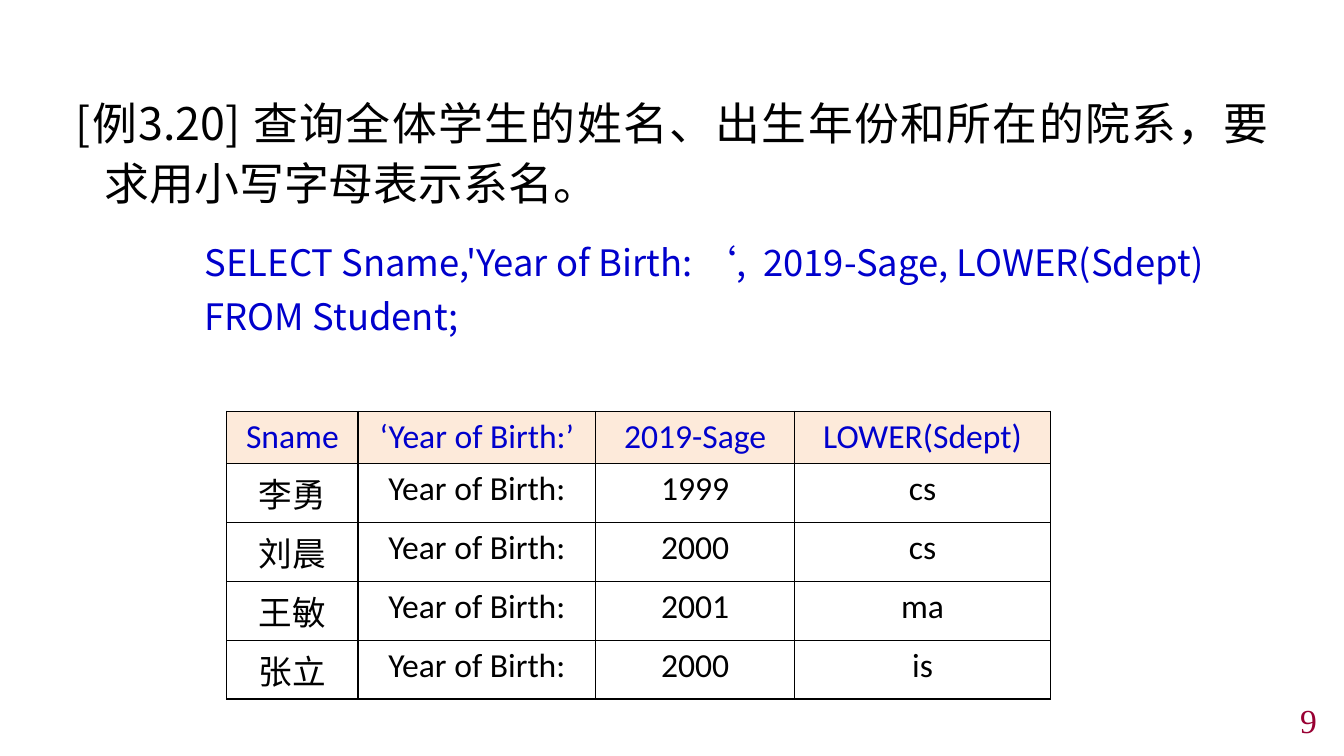
"""Build the slide for example 3.20: a query with a computed column and its result."""
from lxml import etree
from pptx import Presentation
from pptx.dml.color import RGBColor
from pptx.enum.text import MSO_ANCHOR, MSO_AUTO_SIZE, PP_ALIGN
from pptx.oxml.ns import qn
from pptx.util import Inches, Pt

CENTER, RIGHT, JUSTIFY = PP_ALIGN.CENTER, PP_ALIGN.RIGHT, PP_ALIGN.JUSTIFY
COLORS = {"text": "000000", "code": "0000CC", "header": "FDEADA", "number": "990033"}
HAN, LATIN, SERIF = "Noto Sans CJK SC", "Calibri", "Times New Roman"

# text, level, size, colour, left margin, first-line indent, space before
BODY = [
    ("[例3.20] 查询全体学生的姓名、出生年份和所在的院系，要求用小写字母表示系名。",
     0, 32, "text", 0.29, -0.29, 0),
    ("SELECT Sname,'Year of Birth: ‘,  2019-Sage, LOWER(Sdept)", 1, 26, "code", 1.28, 0, 19),
    ("FROM Student;", 1, 26, "code", 1.28, 0, 4.2),
]
LABEL = "Year of Birth:"
RESULT = [
    ("Sname", f"‘{LABEL}’", "2019-Sage", "LOWER(Sdept)"),
    ("李勇", LABEL, "1999", "cs"),
    ("刘晨", LABEL, "2000", "cs"),
    ("王敏", LABEL, "2001", "ma"),
    ("张立", LABEL, "2000", "is"),
]
COLUMN_WIDTHS = (1.3, 2.36, 1.97, 2.54)
HEADER_HEIGHT, ROW_HEIGHT = 0.52, 0.58


def box(left, top, width, height):
    return [Inches(length) for length in (left, top, width, height)]


def style(font, size, color, latin, han=HAN):
    font.size, font.name = Pt(size), latin
    font.color.rgb = RGBColor.from_string(COLORS[color])
    properties = font._element if hasattr(font, "_element") else font._rPr
    east_asian = etree.Element(qn("a:ea"), typeface=han)
    properties.find(qn("a:latin")).addnext(east_asian)


def add_borders(cell):
    properties = cell._tc.get_or_add_tcPr()
    for index, side in enumerate(("lnL", "lnR", "lnT", "lnB")):
        line = etree.Element(qn(f"a:{side}"), w=str(Pt(1)))
        fill = etree.SubElement(line, qn("a:solidFill"))
        etree.SubElement(fill, qn("a:srgbClr"), val=COLORS["text"])
        properties.insert(index, line)


def fill_body(body):
    body.left, body.top, body.width, body.height = box(0.65, 0.85, 12.04, 6.29)
    frame = body.text_frame
    frame.text = "\n".join(entry[0] for entry in BODY)
    frame.auto_size, frame.vertical_anchor = MSO_AUTO_SIZE.NONE, MSO_ANCHOR.TOP
    for paragraph, (_, level, size, color, margin, indent, before) in zip(frame.paragraphs, BODY):
        properties = paragraph._p.get_or_add_pPr()
        properties.set("marL", str(Inches(margin)))
        properties.set("indent", str(Inches(indent)))
        etree.SubElement(properties, qn("a:buNone"))
        paragraph.level, paragraph.alignment = level, JUSTIFY
        paragraph.line_spacing, paragraph.space_before = 1.1, Pt(before)
        style(paragraph.runs[0].font, size, color, HAN)


def add_result(slide):
    height = HEADER_HEIGHT + ROW_HEIGHT * (len(RESULT) - 1)
    area = box(2.25, 4.08, sum(COLUMN_WIDTHS), height)
    table = slide.shapes.add_table(len(RESULT), len(COLUMN_WIDTHS), *area).table
    table.first_row = table.horz_banding = False
    for column, width in zip(table.columns, COLUMN_WIDTHS):
        column.width = Inches(width)
    for row_index, record in enumerate(RESULT):
        is_header = row_index == 0
        table.rows[row_index].height = Inches(HEADER_HEIGHT if is_header else ROW_HEIGHT)
        for column_index, value in enumerate(record):
            cell = table.cell(row_index, column_index)
            cell.text = value
            if is_header:
                cell.fill.solid()
                cell.fill.fore_color.rgb = RGBColor.from_string(COLORS["header"])
            else:
                cell.fill.background()
            add_borders(cell)
            paragraph = cell.text_frame.paragraphs[0]
            paragraph.alignment = CENTER
            style(paragraph.runs[0].font, 24, "code" if is_header else "text", LATIN)


def add_page_number(slide):
    frame = slide.shapes.add_textbox(*box(10.33, 6.99, 2.83, 0.31)).text_frame
    frame.word_wrap, frame.vertical_anchor = True, MSO_ANCHOR.MIDDLE
    frame.text = "9"
    paragraph = frame.paragraphs[0]
    paragraph.alignment = RIGHT
    style(paragraph.runs[0].font, 24, "number", SERIF)


def main():
    deck = Presentation()
    deck.slide_width, deck.slide_height = Inches(13.33), Inches(7.5)
    slide = deck.slides.add_slide(deck.slide_layouts[1])
    title = slide.shapes.title._element
    title.getparent().remove(title)
    fill_body(slide.placeholders[1])
    add_result(slide)
    add_page_number(slide)
    deck.save("out.pptx")


if __name__ == "__main__":
    main()
